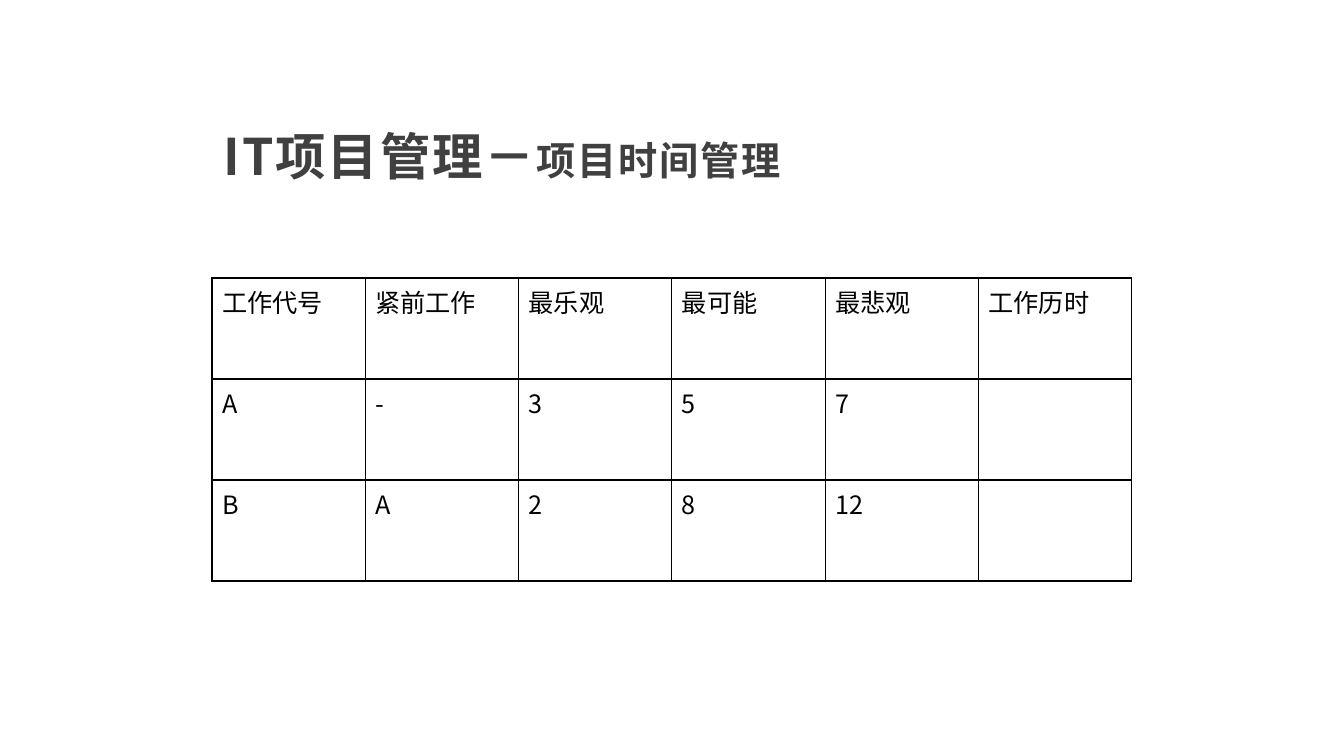
"""Build the project time management slide with its task table."""
from lxml import etree
from pptx import Presentation
from pptx.dml.color import RGBColor
from pptx.enum.text import MSO_ANCHOR
from pptx.oxml.ns import qn
from pptx.util import Pt

BOTTOM = MSO_ANCHOR.BOTTOM
FONT = "Noto Sans CJK SC"
EMU_PER_PX = 914400 / 100.8

TITLE = [("IT项目管理－", 36), ("项目时间管理", 28)]
TASKS = [
    ["工作代号", "紧前工作", "最乐观", "最可能", "最悲观", "工作历时"],
    ["A", "-", "3", "5", "7", ""],
    ["B", "A", "2", "8", "12", ""],
]
TITLE_BOX = (212, 48, 967, 148)
TABLE_BOX = (212, 278, 920, 303)


def px(length):
    return round(length * EMU_PER_PX)


def color(value):
    return RGBColor.from_string(value)


def add_text(paragraph, text, size=18, fill="000000", bold=False, spacing=0):
    run = paragraph.add_run()
    run.text = text
    font = run.font
    font.size, font.bold, font.name = Pt(size), bold, FONT
    font.color.rgb = color(fill)
    properties = run._r.get_or_add_rPr()
    etree.SubElement(properties, qn("a:ea"), typeface=FONT)
    if spacing:
        properties.set("spc", str(round(spacing * 100)))


def add_borders(cell, fill="000000", width=1):
    properties = cell._tc.get_or_add_tcPr()
    for position, side in enumerate(("lnL", "lnR", "lnT", "lnB")):
        line = etree.Element(qn(f"a:{side}"), w=str(Pt(width)))
        solid = etree.SubElement(line, qn("a:solidFill"))
        etree.SubElement(solid, qn("a:srgbClr"), val=fill)
        properties.insert(position, line)


def add_title(slide):
    frame = slide.shapes.add_textbox(*map(px, TITLE_BOX)).text_frame
    frame.word_wrap = True
    frame.vertical_anchor = BOTTOM
    frame.margin_left = frame.margin_right = frame.margin_top = px(12)
    frame.margin_bottom = px(10)
    paragraph = frame.paragraphs[0]
    paragraph.line_spacing = 1.05
    for text, size in TITLE:
        add_text(paragraph, text, size=size, fill="404040", bold=True, spacing=1.3)


def add_task_table(slide):
    rows, columns = len(TASKS), len(TASKS[0])
    table = slide.shapes.add_table(rows, columns, *map(px, TABLE_BOX)).table
    table.first_row = table.horz_banding = False
    for row, values in enumerate(TASKS):
        for column, value in enumerate(values):
            cell = table.cell(row, column)
            cell.fill.background()
            add_borders(cell)
            if value:
                add_text(cell.text_frame.paragraphs[0], value)


def main():
    presentation = Presentation()
    presentation.slide_width, presentation.slide_height = px(1344), px(756)
    slide = presentation.slides.add_slide(presentation.slide_layouts[6])
    add_title(slide)
    add_task_table(slide)
    presentation.save("out.pptx")


if __name__ == "__main__":
    main()
